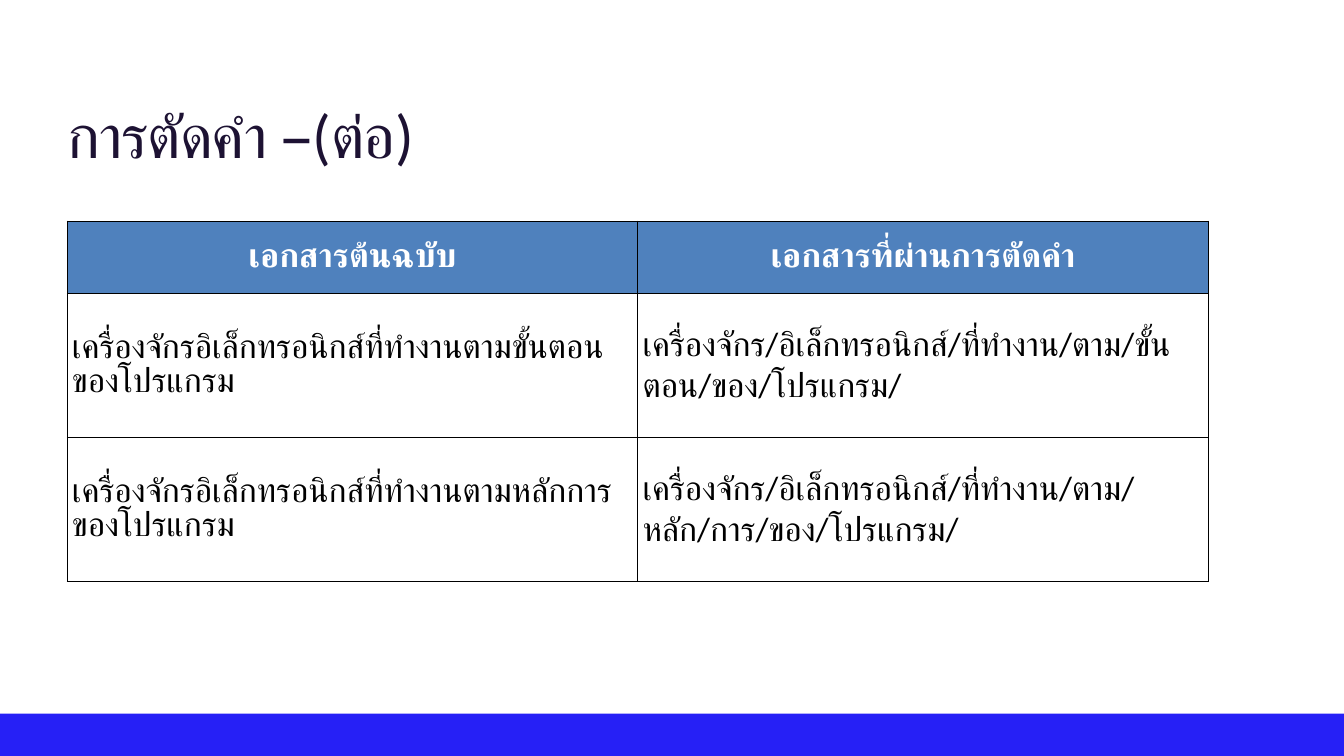
from lxml import etree
from pptx import Presentation
from pptx.dml.color import RGBColor
from pptx.enum import shapes, text
from pptx.oxml.ns import qn
from pptx.util import Cm, Pt

BLACK = RGBColor(0x00, 0x00, 0x00)
WHITE = RGBColor(0xFF, 0xFF, 0xFF)
INK = RGBColor(0x1D, 0x12, 0x33)
HEADER_BLUE = RGBColor(0x4F, 0x81, 0xBD)
FOOTER_BLUE = RGBColor(0x26, 0x20, 0xF6)
FONT = "Calibri"

TITLE = "การตัดคำ –(ต่อ)"
ROWS = [
    ("เอกสารต้นฉบับ", "เอกสารที่ผ่านการตัดคำ"),
    ("เครื่องจักรอิเล็กทรอนิกส์ที่ทำงานตามขั้นตอนของโปรแกรม",
     "เครื่องจักร/อิเล็กทรอนิกส์/ที่ทำงาน/ตาม/ขั้นตอน/ของ/โปรแกรม/"),
    ("เครื่องจักรอิเล็กทรอนิกส์ที่ทำงานตามหลักการของโปรแกรม",
     "เครื่องจักร/อิเล็กทรอนิกส์/ที่ทำงาน/ตาม/หลัก/การ/ของ/โปรแกรม/"),
]


def format_run(run, size, color, bold=False):
    run.font.name = FONT
    run.font.size = Pt(size)
    run.font.bold = bold
    run.font.color.rgb = color


def add_footer_bar(slide, left, top, width, height):
    bar = slide.shapes.add_shape(shapes.MSO_SHAPE.RECTANGLE, left, top, width, height)
    bar.shadow.inherit = False
    bar.fill.solid()
    bar.fill.fore_color.rgb = FOOTER_BLUE
    bar.line.fill.background()


def add_title(slide, left, top, width, height):
    frame = slide.shapes.add_textbox(left, top, width, height).text_frame
    frame.word_wrap = True
    frame.margin_left = frame.margin_right = frame.margin_top = frame.margin_bottom = 0
    frame.text = TITLE
    heading = frame.paragraphs[0]
    heading.line_spacing = Pt(100.8)
    run = heading.runs[0]
    format_run(run, 66, INK)
    run.font._element.set("spc", "-100")


def add_borders(cell):
    """Draw a thin black line on all four sides; call before filling the cell."""
    properties = cell._tc.get_or_add_tcPr()
    for side in ("a:lnL", "a:lnR", "a:lnT", "a:lnB"):
        line = etree.SubElement(properties, qn(side), w=str(Pt(1)))
        fill = etree.SubElement(line, qn("a:solidFill"))
        etree.SubElement(fill, qn("a:srgbClr"), val=str(BLACK))


def fill_cell(cell, wording, is_header):
    add_borders(cell)
    cell.fill.solid()
    cell.fill.fore_color.rgb = HEADER_BLUE if is_header else WHITE
    cell.margin_left = cell.margin_right = Cm(0.18)
    cell.margin_top = cell.margin_bottom = 0
    cell.vertical_anchor = text.MSO_ANCHOR.MIDDLE
    cell.text_frame.text = wording
    paragraph = cell.text_frame.paragraphs[0]
    paragraph.alignment = text.PP_ALIGN.CENTER if is_header else text.PP_ALIGN.LEFT
    format_run(paragraph.runs[0], 36, WHITE if is_header else BLACK, is_header)


def add_comparison(slide, left, top, width, height):
    """Compare source sentences with their segmented form; the header is half a row high."""
    table = slide.shapes.add_table(len(ROWS), 2, left, top, width, height).table
    for column in table.columns:
        column.width = width // 2
    unit = height // (2 * len(ROWS) - 1)
    for index, sentences in enumerate(ROWS):
        is_header = index == 0
        table.rows[index].height = unit if is_header else 2 * unit
        for cell, wording in zip(table.rows[index].cells, sentences):
            fill_cell(cell, wording, is_header)


def main():
    deck = Presentation()
    deck.slide_width, deck.slide_height = Cm(50.8), Cm(28.58)
    slide = deck.slides.add_slide(deck.slide_layouts[6])
    add_footer_bar(slide, Cm(-0.3), Cm(26.98), Cm(51.38), Cm(1.6))
    add_title(slide, Cm(2.54), Cm(2.92), Cm(33.2), Cm(3.4))
    add_comparison(slide, Cm(2.54), Cm(8.36), Cm(43.13), Cm(13.62))
    deck.save("out.pptx")


if __name__ == "__main__":
    main()
